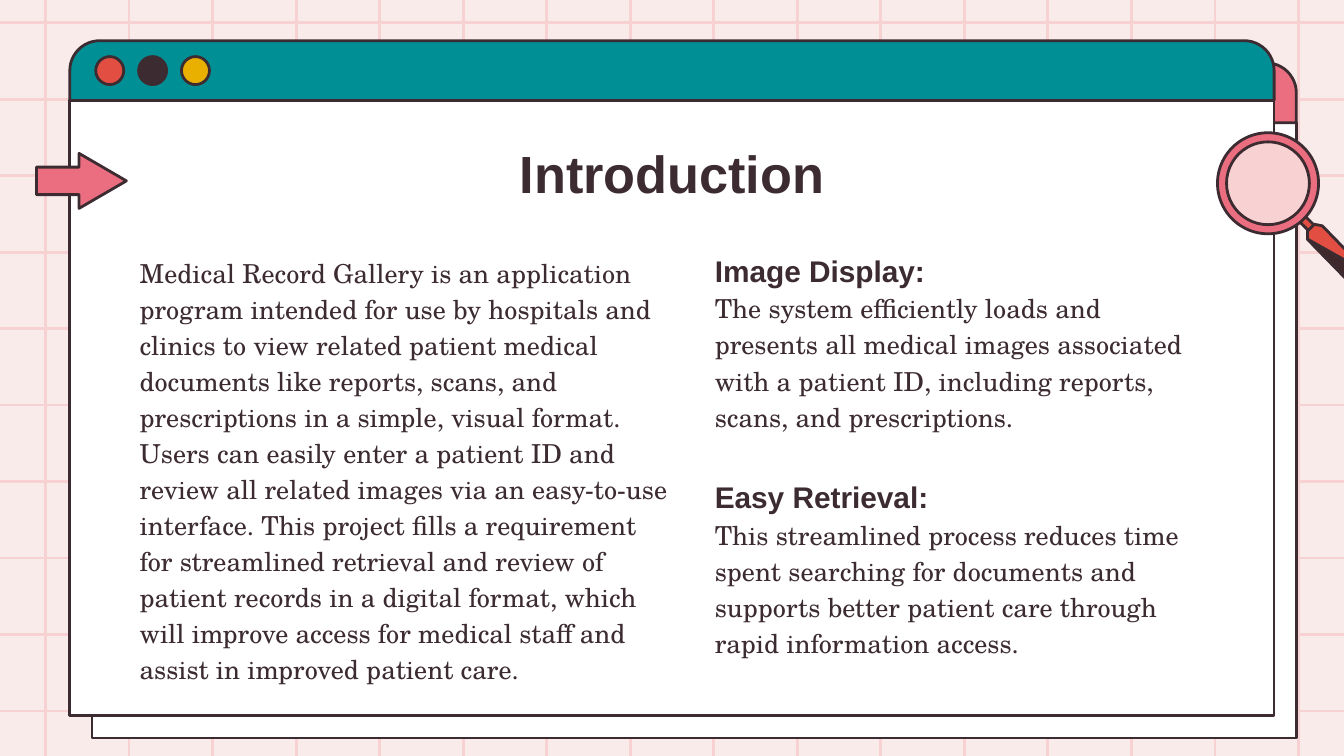
from pptx import Presentation
from pptx.dml.color import RGBColor
from pptx.enum.shapes import MSO_CONNECTOR, MSO_SHAPE
from pptx.enum.text import MSO_ANCHOR, PP_ALIGN
from pptx.oxml.ns import qn
from pptx.util import Cm, Pt
from lxml import etree

STRAIGHT = MSO_CONNECTOR.STRAIGHT
RECT = MSO_SHAPE.RECTANGLE
ROUND_TOP = MSO_SHAPE.ROUND_2_SAME_RECTANGLE
OVAL = MSO_SHAPE.OVAL
DONUT = MSO_SHAPE.DONUT
ARROW = MSO_SHAPE.RIGHT_ARROW
TOP, MIDDLE = MSO_ANCHOR.TOP, MSO_ANCHOR.MIDDLE
LEFT, CENTER = PP_ALIGN.LEFT, PP_ALIGN.CENTER

PAPER = RGBColor(0xFA, 0xEB, 0xEB)
BLUSH = RGBColor(0xF8, 0xD2, 0xD2)
INK = RGBColor(0x3C, 0x2C, 0x31)
WHITE = RGBColor(0xFF, 0xFF, 0xFF)
PINK = RGBColor(0xEB, 0x6E, 0x80)
TEAL = RGBColor(0x00, 0x8F, 0x95)
RED = RGBColor(0xE2, 0x4E, 0x42)
YELLOW = RGBColor(0xE9, 0xB0, 0x00)
SHADE = RGBColor(0x3E, 0x28, 0x2C)

TITLE_STYLE = ("Arial", 28, True)
HEAD_STYLE = ("Arial", 16, True)
BODY_STYLE = ("TeX Gyre Schola", 14, False)

TITLE = [("Introduction", TITLE_STYLE, 0)]
SUMMARY = [(
    "Medical Record Gallery is an application program intended for use by "
    "hospitals and clinics to view related patient medical documents like "
    "reports, scans, and prescriptions in a simple, visual format. Users can "
    "easily enter a patient ID and review all related images via an "
    "easy-to-use interface. This project fills a requirement for streamlined "
    "retrieval and review of patient records in a digital format, which will "
    "improve access for medical staff and assist in improved patient care.",
    BODY_STYLE, 0)]
FEATURES = [
    ("Image Display:", HEAD_STYLE, 0),
    ("The system efficiently loads and presents all medical images associated "
     "with a patient ID, including reports, scans, and prescriptions.",
     BODY_STYLE, 0),
    ("Easy Retrieval:", HEAD_STYLE, 22),
    ("This streamlined process reduces time spent searching for documents and "
     "supports better patient care through rapid information access.",
     BODY_STYLE, 0),
]
TEXTS = [
    ((2.39, 4.52, 10.57, 8.43), SUMMARY, LEFT, TOP, 1.15),
    ((2.49, 2.46, 20.42, 1.6), TITLE, CENTER, MIDDLE, 1.0),
    ((13.26, 4.42, 9.86, 8.08), FEATURES, LEFT, TOP, 1.15),
]

GRID_X = (0.86, 24.54, 16)
GRID_Y = (0.43, 13.44, 10)
GRID_BOX = (-0.56, -0.91, 25.96, 14.78)

WINDOWS = [(1.74, 1.19, PINK), (1.32, 0.77, TEAL)]
WINDOW_W, BAR_H, BODY_H = 22.76, 1.13, 11.63
DOTS = [RED, INK, YELLOW]
DOT_X, DOT_Y, DOT_SIZE, DOT_STEP = 1.81, 1.07, 0.53, 0.81

NECK = [(24.82, 4.45), (24.92, 4.34), (24.64, 4.06), (24.54, 4.17)]
GRIP = [(25.76, 5.11), (25.73, 5.18), (25.6, 5.28), (25.53, 5.33),
        (25.45, 5.28), (24.71, 4.52), (24.71, 4.37), (24.84, 4.24),
        (24.99, 4.27), (25.73, 5.03)]
HANDLE = [(NECK, RED), (GRIP, RED), (GRIP[:6], SHADE)]


def spread(first, last, count):
    return [first + i * (last - first) / (count - 1) for i in range(count)]


def add_line(s, *ends):
    c = s.shapes.add_connector(STRAIGHT, *map(Cm, ends))
    c.line.color.rgb = BLUSH
    c.line.width = Pt(1.5)
    etree.SubElement(c._element.spPr, qn("a:effectLst"))


def paint(sp, color):
    sp.shadow.inherit = False
    sp.fill.solid()
    sp.fill.fore_color.rgb = color
    sp.line.color.rgb = INK
    sp.line.width = Pt(1.5)


def add_preset(s, kind, box, color, *adjustments):
    sp = s.shapes.add_shape(kind, *map(Cm, box))
    for i, value in enumerate(adjustments):
        sp.adjustments[i] = value
    paint(sp, color)


def add_outline(s, points, color):
    pts = [(Cm(x), Cm(y)) for x, y in points]
    fb = s.shapes.build_freeform(*pts[0])
    fb.add_line_segments(pts[1:], close=True)
    paint(fb.convert_to_shape(), color)


def add_text(s, box, paragraphs, align, anchor, spacing):
    tf = s.shapes.add_textbox(*map(Cm, box)).text_frame
    tf.word_wrap = True
    tf.vertical_anchor = anchor
    tf.margin_left = tf.margin_right = Cm(0.25)
    tf.margin_top = tf.margin_bottom = Cm(0.25)
    for i, (text, (font, size, bold), before) in enumerate(paragraphs):
        p = tf.add_paragraph() if i else tf.paragraphs[0]
        p.alignment = align
        p.line_spacing = spacing
        p.space_before = Pt(before)
        r = p.add_run()
        r.text = text
        r.font.name = font
        r.font.size = Pt(size)
        r.font.bold = bold
        r.font.color.rgb = INK


def main():
    prs = Presentation()
    prs.slide_width, prs.slide_height = Cm(25.4), Cm(14.29)
    s = prs.slides.add_slide(prs.slide_layouts[6])
    s.background.fill.solid()
    s.background.fill.fore_color.rgb = PAPER

    left, top, right, bottom = GRID_BOX
    for x in spread(*GRID_X):
        add_line(s, x, bottom, x, top)
    for y in spread(*GRID_Y):
        add_line(s, left, y, right, y)

    for x, y, color in WINDOWS:
        add_preset(s, RECT, (x, y + BAR_H, WINDOW_W, BODY_H), WHITE)
        add_preset(s, ROUND_TOP, (x, y, WINDOW_W, BAR_H), color, 0.5, 0)
    for i, color in enumerate(DOTS):
        add_preset(s, OVAL, (DOT_X + i * DOT_STEP, DOT_Y, DOT_SIZE, DOT_SIZE), color)

    for item in TEXTS:
        add_text(s, *item)

    for points, color in HANDLE:
        add_outline(s, points, color)
    add_preset(s, OVAL, (23.11, 2.62, 1.7, 1.7), BLUSH)
    add_preset(s, DONUT, (23.01, 2.51, 1.91, 1.91), PINK, 0.09)
    add_preset(s, ARROW, (0.69, 2.9, 1.7, 1.04), PINK, 0.5, 0.86)

    prs.save("out.pptx")


if __name__ == "__main__":
    main()
